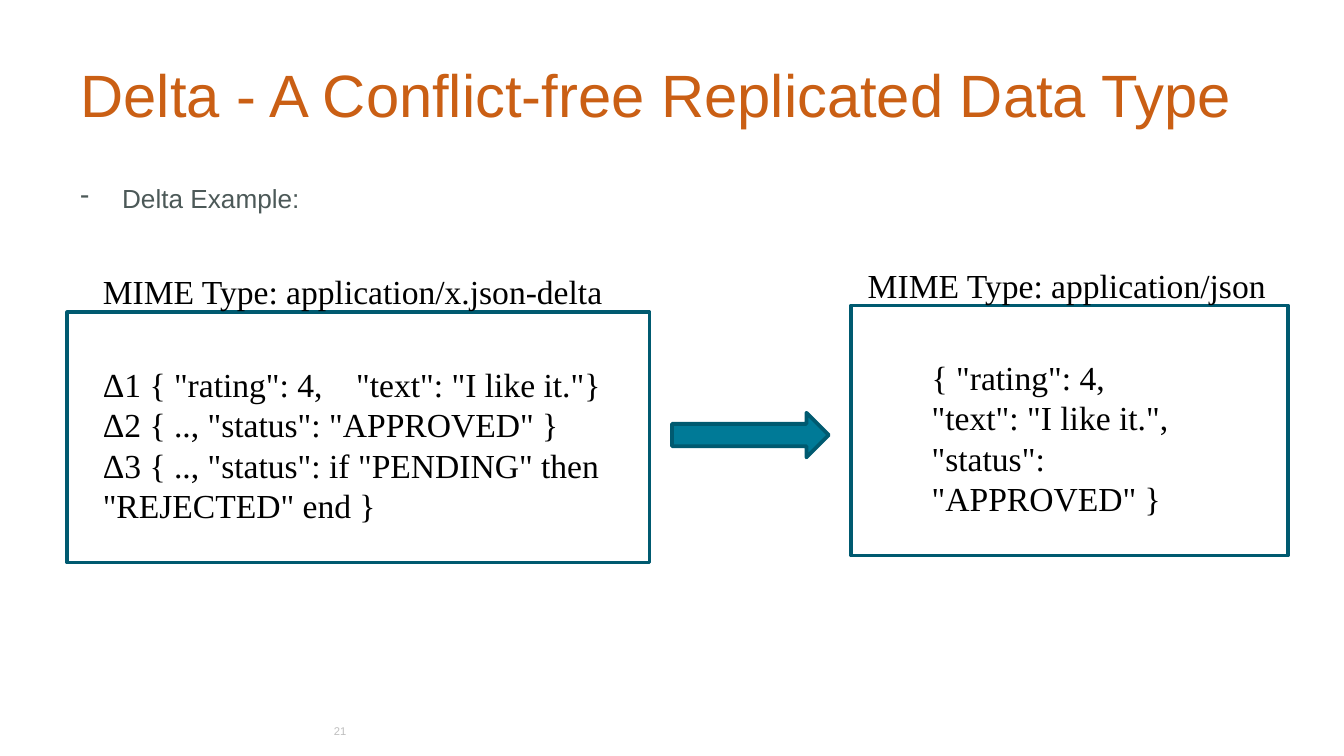
from dataclasses import dataclass

from lxml import etree
from pptx import Presentation
from pptx.dml.color import RGBColor as RGB
from pptx.enum.shapes import MSO_SHAPE as SHAPE
from pptx.enum.text import MSO_ANCHOR as ANCHOR, PP_ALIGN as ALIGN
from pptx.oxml.ns import qn
from pptx.util import Inches, Pt

SLIDE_W = 10
SLIDE_H = SLIDE_W * 9 / 16
COL, ROW = SLIDE_W / 120, SLIDE_H / 100


@dataclass(frozen=True)
class Theme:
    title: tuple = ("Arial", 32, "CA5F14")
    bullet: tuple = ("Arial", 14, "4C5958")
    number: tuple = ("Arial", 6, "BFBFBF")
    code: tuple = ("Times New Roman", 18, "000000")
    fill: str = "007A97"
    line: str = "005A70"
    line_width: float = 2


THEME = Theme()


def place(box):
    """Turn (column, row, columns, rows) into slide lengths."""
    x, y, w, h = box
    return Inches(x * COL), Inches(y * ROW), Inches(w * COL), Inches(h * ROW)


def style(p, look):
    name, size, color = look
    p.font.name, p.font.size = name, Pt(size)
    p.font.color.rgb = RGB.from_string(color)


def add_text(slide, box, lines, look, wrap=True):
    tf = slide.shapes.add_textbox(*place(box)).text_frame
    tf.word_wrap = wrap
    tf.text = "\n".join(lines)
    for p in tf.paragraphs:
        style(p, look)
    return tf


def add_outlined(slide, kind, box, fill=None):
    s = slide.shapes.add_shape(kind, *place(box))
    s.shadow.inherit = False
    if fill:
        s.fill.solid()
        s.fill.fore_color.rgb = RGB.from_string(fill)
    else:
        s.fill.background()
    s.line.color.rgb = RGB.from_string(THEME.line)
    s.line.width = Pt(THEME.line_width)


def add_title(slide, box, text):
    s = slide.shapes.title
    s.left, s.top, s.width, s.height = place(box)
    tf = s.text_frame
    tf.text = text
    tf.vertical_anchor = ANCHOR.MIDDLE
    p = tf.paragraphs[0]
    p.alignment = ALIGN.LEFT
    style(p, THEME.title)


def add_bullet(slide, box, text):
    p = add_text(slide, box, [text], THEME.bullet).paragraphs[0]
    pPr = p._p.get_or_add_pPr()
    pPr.set("marL", str(Inches(0.31)))
    pPr.set("indent", str(-Inches(0.31)))
    pPr.insert(0, etree.Element(qn("a:buChar"), char="-"))


def add_panel(slide, box, label, label_inset, lines, text_inset, text_w):
    """Outlined box with a MIME type above it and code lines inside."""
    x, y, w, h = box
    add_outlined(slide, SHAPE.RECTANGLE, box)
    add_text(slide, (x + text_inset, y + 0.18 * h, text_w, 0.7 * h),
             lines, THEME.code)
    add_text(slide, (x + label_inset, y - 0.19 * h, w - 2 * label_inset, 0.21 * h),
             [label], THEME.code, wrap=False)


def add_number(slide, box, number):
    tf = add_text(slide, box, [number], THEME.number)
    tf.vertical_anchor = ANCHOR.MIDDLE
    tf.paragraphs[0].alignment = ALIGN.CENTER


def main():
    prs = Presentation()
    prs.slide_width, prs.slide_height = Inches(SLIDE_W), Inches(SLIDE_H)
    slide = prs.slides.add_slide(prs.slide_layouts[5])

    add_title(slide, (6, 4.1, 108, 16.7), "Delta - A Conflict-free Replicated Data Type")
    add_bullet(slide, (6, 23.3, 105, 5.9), "Delta Example:")
    add_panel(slide, (6, 41.3, 52, 33.1), "MIME Type: application/x.json-delta", 2,
              ['Δ1 { "rating": 4,    "text": "I like it."}',
               'Δ2 { .., "status": "APPROVED" }',
               'Δ3 { .., "status": if "PENDING" then "REJECTED" end }'], 2, 55)
    add_panel(slide, (76, 40.4, 39, 33.1), "MIME Type: application/json", 0.3,
              ['{ "rating": 4,  "text": "I like it.",',
               '"status": "APPROVED" }'], 6, 26)
    add_outlined(slide, SHAPE.RIGHT_ARROW, (60, 54.6, 14, 5.9), THEME.fill)
    add_number(slide, (27.72, 94.1, 5.3, 5.3), "21")
    prs.save("out.pptx")


if __name__ == "__main__":
    main()
